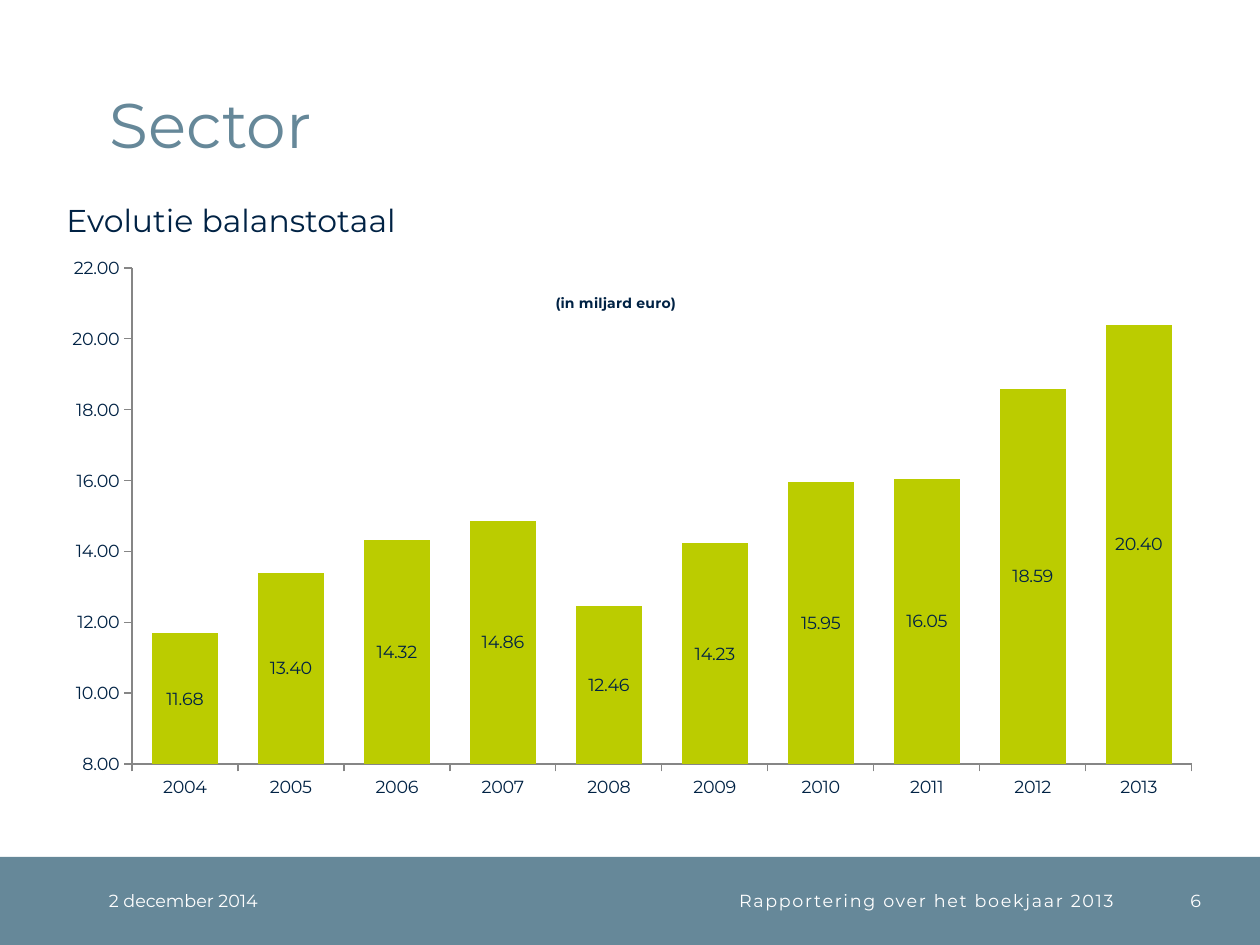
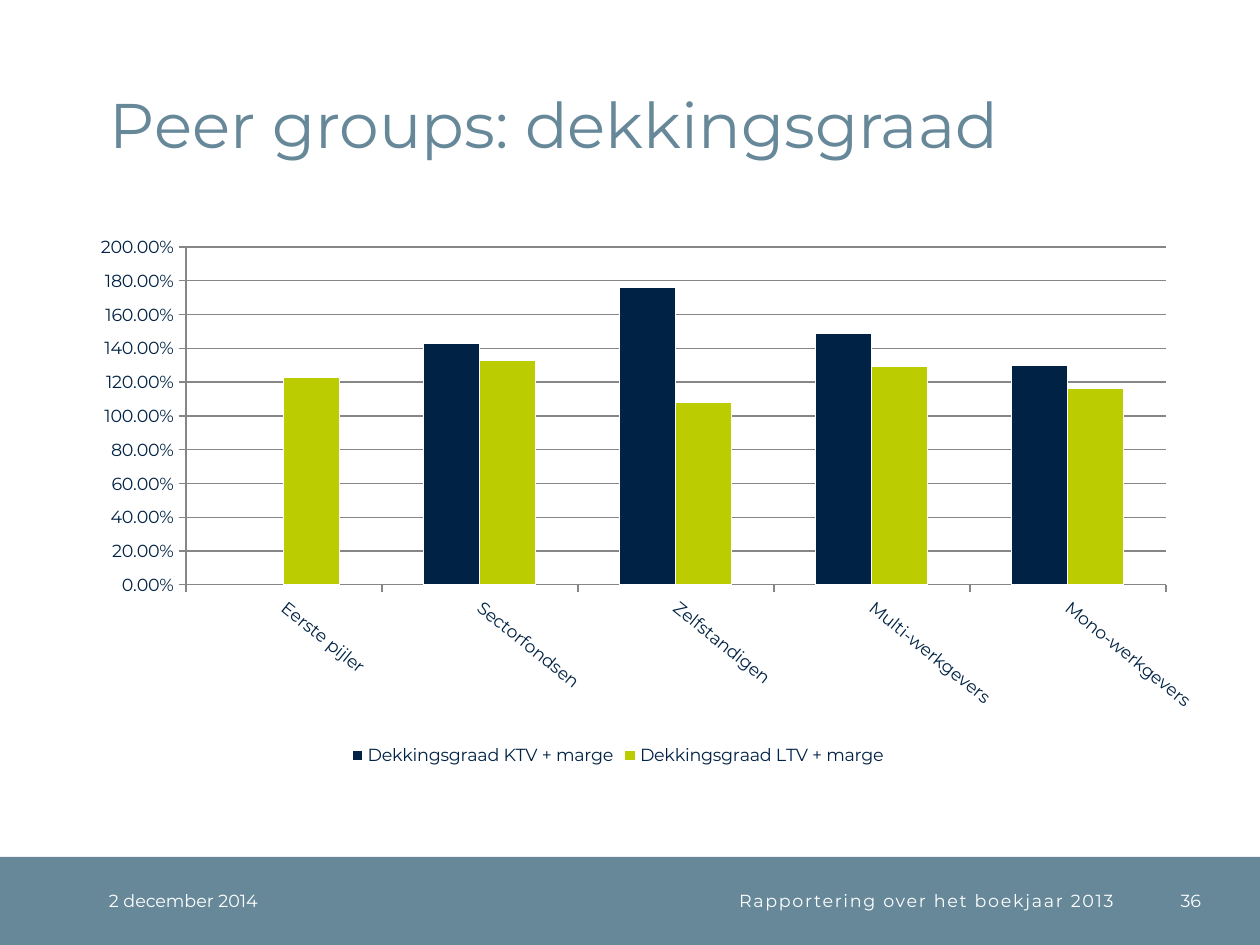
from lxml import etree
from pptx import Presentation
from pptx import util as u
from pptx.chart.data import CategoryChartData
from pptx.dml.color import RGBColor
from pptx.enum import chart as chart_enum
from pptx.enum import shapes, text
from pptx.oxml.ns import qn

PX = 914400 / 126
FONT = "Montserrat"
STEEL = RGBColor(0x66, 0x88, 0x99)
NAVY = RGBColor(0x00, 0x22, 0x44)
LIME = RGBColor(0xBB, 0xCC, 0x00)
GRAY = RGBColor(0x86, 0x86, 0x86)
WHITE = RGBColor(0xFF, 0xFF, 0xFF)

SLIDE_SIZE = (1260, 945)
TITLE_BOX = (110, 25, 1087, 136)
BAND_BOX = (0, 857, 1260, 88)
LEFT, RIGHT = text.PP_ALIGN.LEFT, text.PP_ALIGN.RIGHT


def emu(*lengths):
    return [u.Emu(round(length * PX)) for length in lengths]


def style_font(font, size, color, bold=False):
    font.name = FONT
    font.size = u.Pt(size)
    font.bold = bold
    font.color.rgb = color


def fill_text(shape, words, size, color, align=LEFT, anchor=text.MSO_ANCHOR.MIDDLE, inset=0):
    frame = shape.text_frame
    frame.word_wrap = True
    frame.auto_size = text.MSO_AUTO_SIZE.NONE
    frame.vertical_anchor = anchor
    frame.margin_left = frame.margin_right = u.Inches(inset)
    frame.margin_top = frame.margin_bottom = u.Inches(inset / 2)
    paragraph = frame.paragraphs[0]
    paragraph.alignment = align
    run = paragraph.add_run()
    run.text = words
    style_font(run.font, size, color)
    return paragraph, run


def add_title(slide, box, words):
    title = slide.shapes.title
    title.left, title.top, title.width, title.height = emu(*box)
    paragraph, _ = fill_text(title, words, 36, STEEL, anchor=text.MSO_ANCHOR.BOTTOM)
    paragraph.line_spacing = u.Pt(32)


def add_footer(slide, box, number):
    left, top, width, height = box
    band = slide.shapes.add_shape(shapes.MSO_SHAPE.RECTANGLE, *emu(*box))
    band.shadow.inherit = False
    band.fill.solid()
    band.fill.fore_color.rgb = STEEL
    band.line.fill.background()
    entries = [
        ("2 december 2014", 109, 223, LEFT, 0),
        ("Rapportering over het boekjaar 2013", 333, 781, RIGHT, 100),
        (str(number), 1139, 62, RIGHT, 0),
    ]
    for words, offset, entry_width, align, spacing in entries:
        entry = slide.shapes.add_textbox(*emu(left + offset, top, entry_width, height))
        _, run = fill_text(entry, words, 10, WHITE, align)
        if spacing:
            run._r.get_or_add_rPr().set("spc", str(spacing))


def add_base_slide(presentation, title, number):
    slide = presentation.slides.add_slide(presentation.slide_layouts[5])
    add_title(slide, TITLE_BOX, title)
    add_footer(slide, BAND_BOX, number)
    return slide


def place_part(part, index, chart_box, part_box):
    for old in part.findall(qn("c:layout")):
        part.remove(old)
    layout = etree.Element(qn("c:layout"))
    part.insert(index, layout)
    manual = etree.SubElement(layout, qn("c:manualLayout"))
    settings = [("xMode", "edge"), ("yMode", "edge")]
    if len(part_box) == 4:
        settings.insert(0, ("layoutTarget", "inner"))
    sizes = chart_box[2:] * 2
    settings += [
        (name, f"{length / size:.4f}")
        for name, length, size in zip("xywh", part_box, sizes)
    ]
    for name, value in settings:
        etree.SubElement(manual, qn("c:" + name)).set("val", value)


def add_column_chart(slide, box, plot_box, kind, categories, series, scale, number_format, gap, overlap):
    data = CategoryChartData(number_format=number_format)
    data.categories = categories
    for name, values, _ in series:
        data.add_series(name, values)
    chart = slide.shapes.add_chart(kind, *emu(*box), data).chart
    style_font(chart.font, 10, NAVY)
    chart.has_title = False
    chart.has_legend = False
    plot = chart.plots[0]
    plot.gap_width, plot.overlap = gap, overlap
    plot.vary_by_categories = False
    for column, (_, _, color) in zip(plot.series, series):
        column.format.fill.solid()
        column.format.fill.fore_color.rgb = color
        column.invert_if_negative = False
    axis = chart.value_axis
    axis.minimum_scale, axis.maximum_scale, axis.major_unit = scale
    axis.has_major_gridlines = False
    axis.tick_labels.number_format = number_format
    axis.tick_labels.number_format_is_linked = False
    for each in (axis, chart.category_axis):
        each.major_tick_mark = chart_enum.XL_TICK_MARK.OUTSIDE
        each.minor_tick_mark = chart_enum.XL_TICK_MARK.NONE
        each.format.line.color.rgb = GRAY
    place_part(chart.element.xpath(".//c:plotArea")[0], 0, box, plot_box)
    return chart


def add_balance_chart(slide, box):
    totals = [11.68, 13.40, 14.32, 14.86, 12.46, 14.23, 15.95, 16.05, 18.59, 20.40]
    chart = add_column_chart(
        slide, box, (88, 73, 1060, 496), chart_enum.XL_CHART_TYPE.COLUMN_STACKED,
        [str(year) for year in range(2004, 2014)], [("Series 1", totals, LIME)],
        (8, 22, 2), "0.00", 61, 100)
    plot = chart.plots[0]
    plot.has_data_labels = True
    labels = plot.data_labels
    labels.show_value = True
    labels.number_format = "0.00"
    labels.number_format_is_linked = False
    labels.position = chart_enum.XL_LABEL_POSITION.CENTER
    style_font(labels.font, 10, NAVY)
    chart.has_title = True
    run = chart.chart_title.text_frame.paragraphs[0].add_run()
    run.text = "(in miljard euro)"
    style_font(run.font, 8, NAVY, bold=True)
    place_part(chart.element.xpath("c:chart/c:title")[0], 1, box, (509, 95))


def add_coverage_chart(slide, box):
    groups = ["Eerste pijler", "Sectorfondsen", "Zelfstandigen", "Multi-werkgevers", "Mono-werkgevers"]
    series = [
        ("Dekkingsgraad KTV + marge", [None, 1.43, 1.76, 1.49, 1.3], NAVY),
        ("Dekkingsgraad LTV + marge", [1.23, 1.33, 1.08, 1.29, 1.16], LIME),
    ]
    chart = add_column_chart(
        slide, box, (151, 62, 980, 338), chart_enum.XL_CHART_TYPE.COLUMN_CLUSTERED,
        groups, series, (0, 2, 0.2), "0.00%", 150, 0)
    for column in chart.plots[0].series:
        column.format.line.color.rgb = WHITE
    chart.value_axis.has_major_gridlines = True
    chart.value_axis.major_gridlines.format.line.color.rgb = GRAY
    style_font(chart.category_axis.tick_labels.font, 10, NAVY)
    chart.element.xpath(".//c:catAx/c:txPr/a:bodyPr")[0].set("rot", str(39 * 60000))
    chart.has_legend = True
    chart.legend.position = chart_enum.XL_LEGEND_POSITION.BOTTOM
    chart.legend.include_in_layout = False
    style_font(chart.legend.font, 10, NAVY)


def build_sector_slide(presentation):
    slide = add_base_slide(presentation, "Sector", 6)
    heading = slide.shapes.add_textbox(*emu(54, 195, 407, 50))
    fill_text(heading, "Evolutie balanstotaal", 18, NAVY, anchor=text.MSO_ANCHOR.TOP, inset=0.1)
    add_balance_chart(slide, (44, 195, 1171, 615))


def build_peer_slide(presentation):
    slide = add_base_slide(presentation, "Peer groups: dekkingsgraad", 36)
    add_coverage_chart(slide, (35, 185, 1166, 586))


def main():
    presentation = Presentation()
    presentation.slide_width, presentation.slide_height = emu(*SLIDE_SIZE)
    build_sector_slide(presentation)
    build_peer_slide(presentation)
    presentation.save("out.pptx")


if __name__ == "__main__":
    main()
